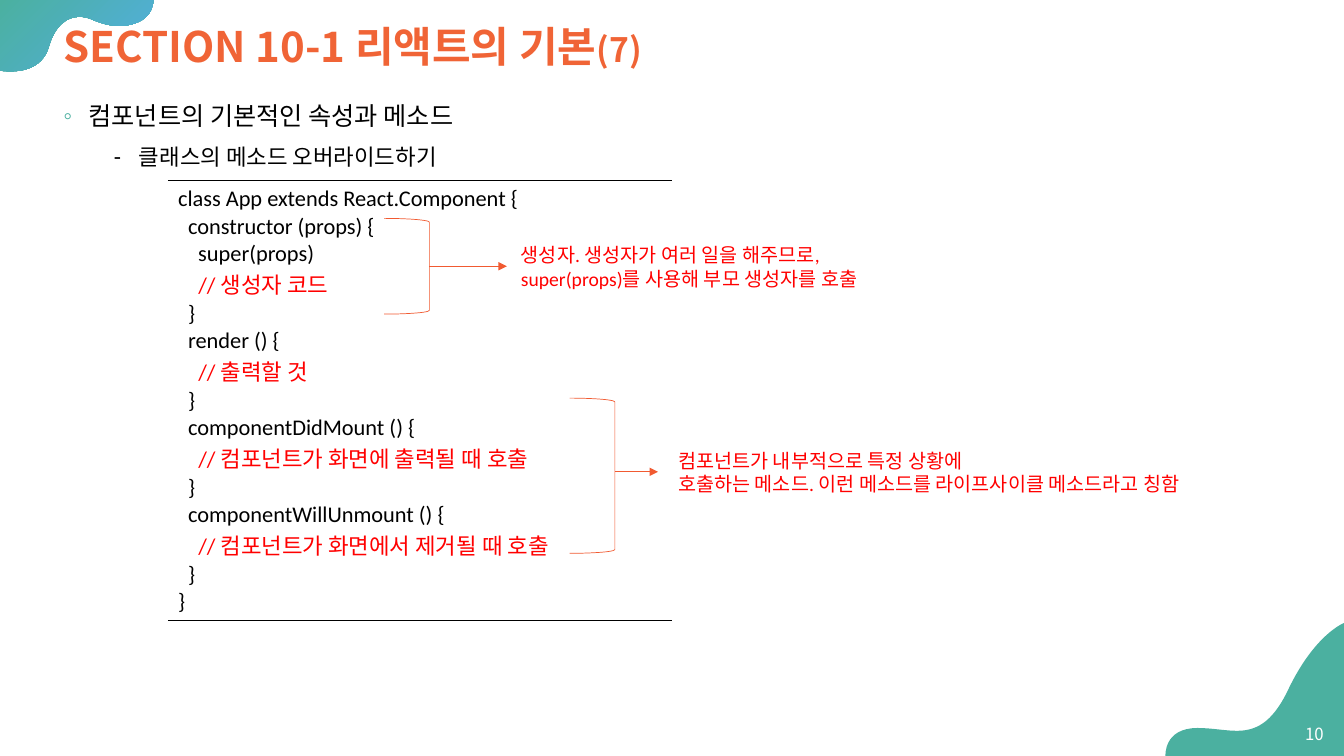
"""Build the slide on overriding React component methods."""
import pptx
import pptx.dml.color
import pptx.enum.dml
import pptx.enum.shapes
import pptx.enum.text
import pptx.oxml
import pptx.oxml.ns
import pptx.util
from lxml import etree

Pt = pptx.util.Pt
RGBColor = pptx.dml.color.RGBColor
qn = pptx.oxml.ns.qn
ANCHOR = pptx.enum.text.MSO_ANCHOR
ALIGN = pptx.enum.text.PP_ALIGN

BLACK = RGBColor(0x00, 0x00, 0x00)
WHITE = RGBColor(0xFF, 0xFF, 0xFF)
RED = RGBColor(0xFF, 0x00, 0x00)
TITLE_ORANGE = RGBColor(0xF0, 0x64, 0x36)
LINE_ORANGE = RGBColor(0xF1, 0x5A, 0x31)
TEAL = RGBColor(0x4B, 0xB0, 0xA0)
SKY = RGBColor(0x52, 0xAE, 0xE1)

CODE = """class App extends React.Component {
  constructor (props) {
    super(props)
    // 생성자 코드
  }
  render () {
    // 출력할 것
  }
  componentDidMount () {
    // 컴포넌트가 화면에 출력될 때 호출
  }
  componentWillUnmount () {
    // 컴포넌트가 화면에서 제거될 때 호출
  }
}"""

TOP_WAVE = [
    [(109.5, 0)], [(0, 0)], [(0, 50.5)],
    [(0, 50.5), (3, 51), (8, 51)],
    [(17, 51), (31, 48), (35, 33)],
    [(40, 16.5), (49, 12), (57, 12)],
    [(60.5, 12), (64, 13), (67, 14.5)],
    [(73, 17), (79, 18.5), (85, 18.5)],
    [(98.5, 18.5), (109.5, 12), (109.5, 0)],
]
BOTTOM_WAVE = [
    [(960, 445)],
    [(960, 445), (939, 453), (920, 493)],
    [(908.5, 517), (896.5, 522), (883.5, 522)],
    [(875, 522), (865.5, 520), (855.5, 520)],
    [(831, 520), (832.5, 540), (832.5, 540)],
    [(960, 540)],
]


class Deck:
    """Hold the style and the current slide."""

    heading_font = "Noto Sans CJK KR"
    outline_font = "Arial"
    code_font = "Calibri"
    line_width = 0.5

    def __init__(self, slide):
        self.slide = slide

    def wave(self, segments):
        """Draw a closed outline of straight and Bezier segments."""
        ends = [(Pt(segment[-1][0]), Pt(segment[-1][1])) for segment in segments]
        builder = self.slide.shapes.build_freeform(*ends[0], scale=1.0)
        builder.add_line_segments(ends[1:], close=True)
        wave = builder.convert_to_shape()
        strokes = list(wave._element.iter(qn("a:lnTo")))
        for stroke, segment in zip(strokes, segments[1:]):
            if len(segment) == 3:
                curve = etree.Element(qn("a:cubicBezTo"))
                for x, y in segment:
                    etree.SubElement(curve, qn("a:pt"), x=str(Pt(x) - wave.left), y=str(Pt(y) - wave.top))
                stroke.getparent().replace(stroke, curve)
        wave.shadow.inherit = False
        wave.line.fill.background()
        wave.fill.solid()
        wave.fill.fore_color.rgb = TEAL
        return wave

    def run(self, paragraph, text, size, font, color, bold=False):
        """Append one styled run."""
        run = paragraph.add_run()
        run.text = text
        run.font.size = Pt(size)
        run.font.name = font
        run.font.bold = bold
        run.font.color.rgb = color
        etree.SubElement(run.font._element, qn("a:ea")).set("typeface", self.heading_font)

    def text_frame(self, left, top, width, height, anchor=ANCHOR.TOP):
        """Add a wrapping text box and return its frame."""
        box = self.slide.shapes.add_textbox(Pt(left), Pt(top), Pt(width), Pt(height))
        frame = box.text_frame
        frame.word_wrap = True
        frame.vertical_anchor = anchor
        return frame

    def bullet(self, paragraph, text, mark, level, indent, size, mark_color):
        """Fill a paragraph as a hanging outline item."""
        paragraph.level = level
        paragraph.line_spacing = 1.2
        props = paragraph._p.get_or_add_pPr()
        props.set("marL", str(Pt(indent)))
        props.set("indent", str(-Pt(18)))
        color = etree.SubElement(props, qn("a:buClr"))
        etree.SubElement(color, qn("a:srgbClr")).set("val", str(mark_color))
        etree.SubElement(props, qn("a:buFont")).set("typeface", self.outline_font)
        etree.SubElement(props, qn("a:buChar")).set("char", mark)
        self.run(paragraph, text, size, self.outline_font, BLACK)

    def code_table(self, left, top, width, height, code):
        """Show a listing in a cell ruled above and below, comments in red."""
        table = self.slide.shapes.add_table(
            1, 1, Pt(left), Pt(top), Pt(width), Pt(height)).table
        table.first_row = table.horz_banding = False
        cell = table.cell(0, 0)
        cell.fill.background()
        for index, edge in enumerate(("a:lnL", "a:lnR", "a:lnT", "a:lnB")):
            rule = etree.Element(qn(edge), w=str(Pt(1)))
            if edge in ("a:lnT", "a:lnB"):
                fill = etree.SubElement(rule, qn("a:solidFill"))
                etree.SubElement(fill, qn("a:srgbClr")).set("val", str(BLACK))
            else:
                etree.SubElement(rule, qn("a:noFill"))
            cell._tc.get_or_add_tcPr().insert(index, rule)
        for number, line in enumerate(code.splitlines()):
            frame = cell.text_frame
            paragraph = frame.add_paragraph() if number else frame.paragraphs[0]
            statement, slashes, comment = line.partition("//")
            self.run(paragraph, statement, 16, self.code_font, BLACK)
            if slashes:
                self.run(paragraph, slashes + comment, 16, self.code_font, RED)

    def callout(self, left, top, width, lines):
        """Add a red explanation."""
        frame = self.text_frame(left, top, width, 41)
        frame.auto_size = pptx.enum.text.MSO_AUTO_SIZE.SHAPE_TO_FIT_TEXT
        for number, line in enumerate(lines):
            paragraph = frame.add_paragraph() if number else frame.paragraphs[0]
            self.run(paragraph, line, 14, self.code_font, RED)

    def bracket(self, left, top, height, arrow_y, arrow_end):
        """Add a right bracket with an arrow leading to its callout."""
        width = 32.4
        bracket = self.slide.shapes.add_shape(
            pptx.enum.shapes.MSO_SHAPE.RIGHT_BRACKET,
            Pt(left), Pt(top), Pt(width), Pt(height))
        bracket.shadow.inherit = False
        bracket.fill.background()
        arrow = self.slide.shapes.add_connector(
            pptx.enum.shapes.MSO_CONNECTOR.STRAIGHT,
            Pt(left + width), Pt(arrow_y), Pt(arrow_end), Pt(arrow_y))
        for part in (bracket, arrow):
            part.line.color.rgb = LINE_ORANGE
            part.line.width = Pt(self.line_width)
        etree.SubElement(arrow.line._get_or_add_ln(), qn("a:tailEnd")).set("type", "triangle")
        etree.SubElement(arrow._element.spPr, qn("a:effectLst"))


def main():
    """Build and save the slide."""
    presentation = pptx.Presentation()
    presentation.slide_width, presentation.slide_height = Pt(960), Pt(540)
    deck = Deck(presentation.slides.add_slide(presentation.slide_layouts[6]))

    top_wave = deck.wave(TOP_WAVE)
    top_wave.fill.gradient()
    top_wave.fill.gradient_angle = 315
    for stop, color in zip(top_wave.fill.gradient_stops, (TEAL, SKY)):
        stop.color.rgb = color
    deck.wave(BOTTOM_WAVE)

    outline = deck.text_frame(38.2, 64, 888.5, 439)
    deck.bullet(outline.paragraphs[0], "컴포넌트의 기본적인 속성과 메소드", "◦", 0, 18, 18, TEAL)
    subtopic = outline.add_paragraph()
    subtopic.space_before = Pt(5)
    deck.bullet(subtopic, "클래스의 메소드 오버라이드하기", "⁃", 1, 54, 16, BLACK)

    deck.code_table(120, 129, 360, 314.5, CODE)

    title = deck.text_frame(38.2, 8.6, 888.5, 52.6, ANCHOR.MIDDLE).paragraphs[0]
    title.line_spacing = 0.9
    deck.run(title, "SECTION 10-1 리액트의 기본", 30, deck.heading_font, TITLE_ORANGE, bold=True)
    deck.run(title, "(7)", 24, deck.heading_font, TITLE_ORANGE, bold=True)

    page_number = deck.text_frame(921, 509.8, 31.7, 28.8, ANCHOR.MIDDLE).paragraphs[0]
    page_number.alignment = ALIGN.RIGHT
    deck.run(page_number, "10", 12, deck.heading_font, WHITE)

    deck.callout(365, 170, 294.5, ["생성자. 생성자가 여러 일을 해주므로,", "super(props)를 사용해 부모 생성자를 호출"])
    deck.callout(477.4, 316.8, 412.6, ["컴포넌트가 내부적으로 특정 상황에", "호출하는 메소드. 이런 메소드를 라이프사이클 메소드라고 칭함"])
    deck.bracket(274.3, 156, 68.4, 190.2, 362)
    deck.bracket(406.8, 284.4, 110.9, 337, 470)

    presentation.save("out.pptx")


if __name__ == "__main__":
    main()
